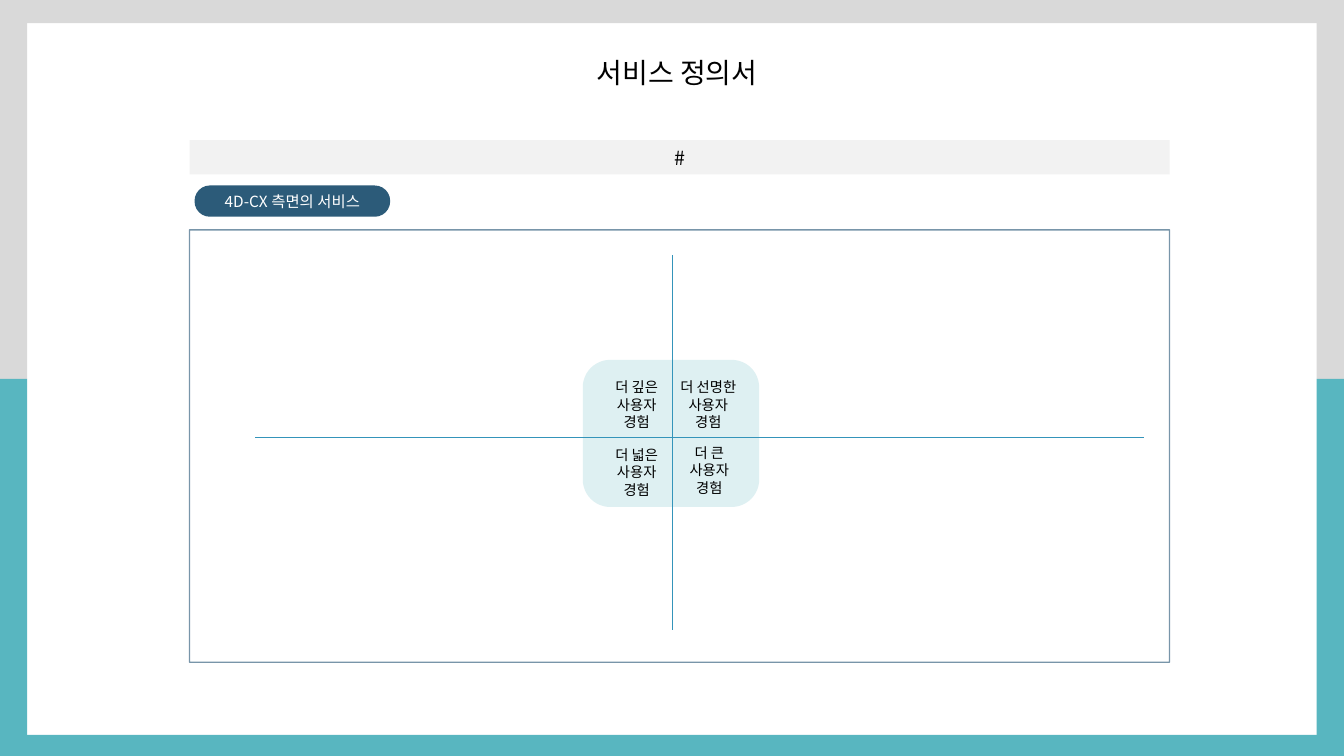
from lxml import etree
from pptx import Presentation
from pptx.dml.color import RGBColor
from pptx.enum.shapes import MSO_CONNECTOR as CONN, MSO_SHAPE as SHAPE
from pptx.enum.text import MSO_ANCHOR as ANCHOR, PP_ALIGN as ALIGN
from pptx.oxml.ns import qn
from pptx.util import Inches, Pt

FONT = "Noto Sans CJK KR"
TEAL, GREY, NAVY, BLUE = "58B6C0", "D9D9D9", "2C5B79", "3494BA"
WIDTH, HEIGHT, MIDDLE = 13.33, 7.5, 3.76
SIDE, TOP_BAR, BOTTOM_BAR = 0.27, 0.23, 7.29


def rgb(value):
    return RGBColor.from_string(value)


def set_text(s, lines, size, color="000000", inset=None, spacing=None, wrap=True):
    tf = s.text_frame
    tf.word_wrap = wrap
    tf.vertical_anchor = ANCHOR.MIDDLE
    if inset is not None:
        for side in ("left", "right", "top", "bottom"):
            setattr(tf, f"margin_{side}", Inches(inset))
    for i, line in enumerate(lines):
        p = tf.add_paragraph() if i else tf.paragraphs[0]
        paragraph_format = {"alignment": ALIGN.CENTER, "space_before": Pt(0), "line_spacing": spacing}
        for name, value in paragraph_format.items():
            setattr(p, name, value)
        r = p.add_run()
        r.text = line
        for name, value in {"name": FONT, "size": Pt(size), "bold": False}.items():
            setattr(r.font, name, value)
        r.font.color.rgb = rgb(color)
        for tag in ("a:ea", "a:cs"):
            etree.SubElement(r.font._element, qn(tag), typeface=FONT)


def add_box(slide, kind, box, fill=None, adj=None):
    s = slide.shapes.add_shape(kind, *map(Inches, box))
    s.shadow.inherit = False
    s.line.fill.background()
    if fill:
        s.fill.solid()
        s.fill.fore_color.rgb = rgb(fill)
    else:
        s.fill.background()
    if adj is not None:
        s.adjustments[0] = adj
    return s


def add_line(slide, start, end):
    c = slide.shapes.add_connector(CONN.STRAIGHT, *map(Inches, start + end))
    c.line.color.rgb = rgb(BLUE)
    c.line.width = Pt(0.5)
    etree.SubElement(c._element.spPr, qn("a:effectLst"))


def add_border(slide):
    right = WIDTH - SIDE
    for left in (0, right):
        add_box(slide, SHAPE.RECTANGLE, (left, 0, SIDE, MIDDLE), GREY)
        add_box(slide, SHAPE.RECTANGLE, (left, MIDDLE, SIDE, HEIGHT - MIDDLE), TEAL)
    add_box(slide, SHAPE.RECTANGLE, (0, 0, WIDTH, TOP_BAR), GREY)
    add_box(slide, SHAPE.RECTANGLE, (0, BOTTOM_BAR, WIDTH, HEIGHT - BOTTOM_BAR), TEAL)


def add_title(slide, text):
    title = slide.shapes.title
    box = {"left": 5.79, "top": 0.46, "width": 1.85, "height": 0.52}
    for name, value in box.items():
        setattr(title, name, Inches(value))
    set_text(title, [text], 20, inset=0.09, wrap=False)


def add_frame(slide):
    frame = add_box(slide, SHAPE.RECTANGLE, (1.88, 2.28, 9.72, 4.29))
    frame.line.color.rgb = rgb("2C5A79")
    frame.line.width = Pt(1)
    color = frame.line._ln.find(".//" + qn("a:srgbClr"))
    etree.SubElement(color, qn("a:alpha"), val="64000")


def add_experience(slide, adjective, left, top):
    s = slide.shapes.add_textbox(*map(Inches, (left, top, 0.71, 0.62)))
    set_text(s, [f"더 {adjective}", "사용자", "경험"], 10.2, inset=0.05, spacing=Pt(12.5))


def main():
    prs = Presentation()
    prs.slide_width, prs.slide_height = Inches(WIDTH), Inches(HEIGHT)
    slide = prs.slides.add_slide(prs.slide_layouts[5])

    add_border(slide)
    add_box(slide, SHAPE.ROUNDED_RECTANGLE, (5.78, 3.57, 1.75, 1.46), "DEF0F2", 0.187)
    add_title(slide, "서비스 정의서")
    heading = add_box(slide, SHAPE.RECTANGLE, (1.88, 1.39, 9.72, 0.34), "F2F2F2")
    set_text(heading, ["#"], 14)
    label = add_box(slide, SHAPE.ROUNDED_RECTANGLE, (1.93, 1.84, 1.94, 0.31), NAVY, 0.49)
    set_text(label, ["4D-CX 측면의 서비스"], 11, "FFFFFF")

    add_frame(slide)
    add_line(slide, (2.53, 4.34), (11.35, 4.34))
    add_line(slide, (6.67, 2.53), (6.67, 6.25))
    for adjective, left, top in (
        ("깊은", 5.96, 3.7),
        ("넓은", 5.96, 4.37),
        ("선명한", 6.67, 3.7),
        ("큰", 6.68, 4.35),
    ):
        add_experience(slide, adjective, left, top)

    prs.save("out.pptx")


if __name__ == "__main__":
    main()
